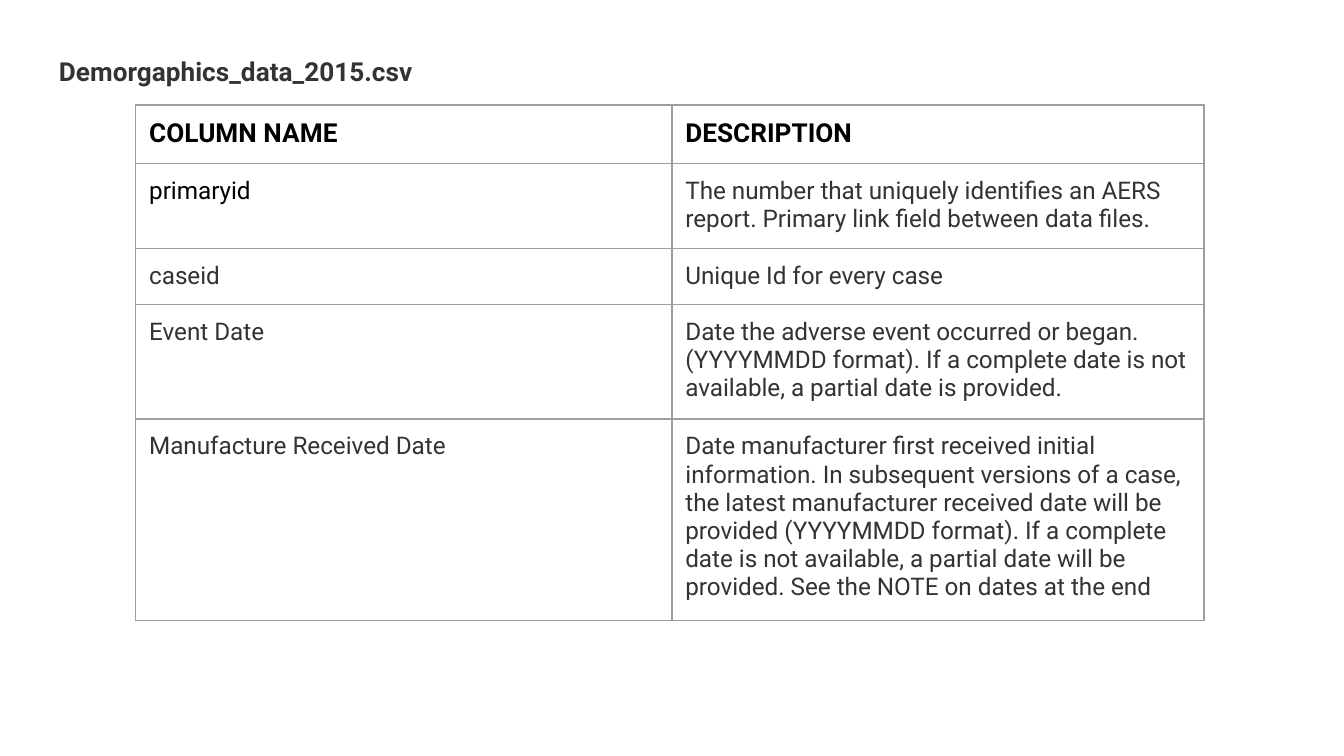
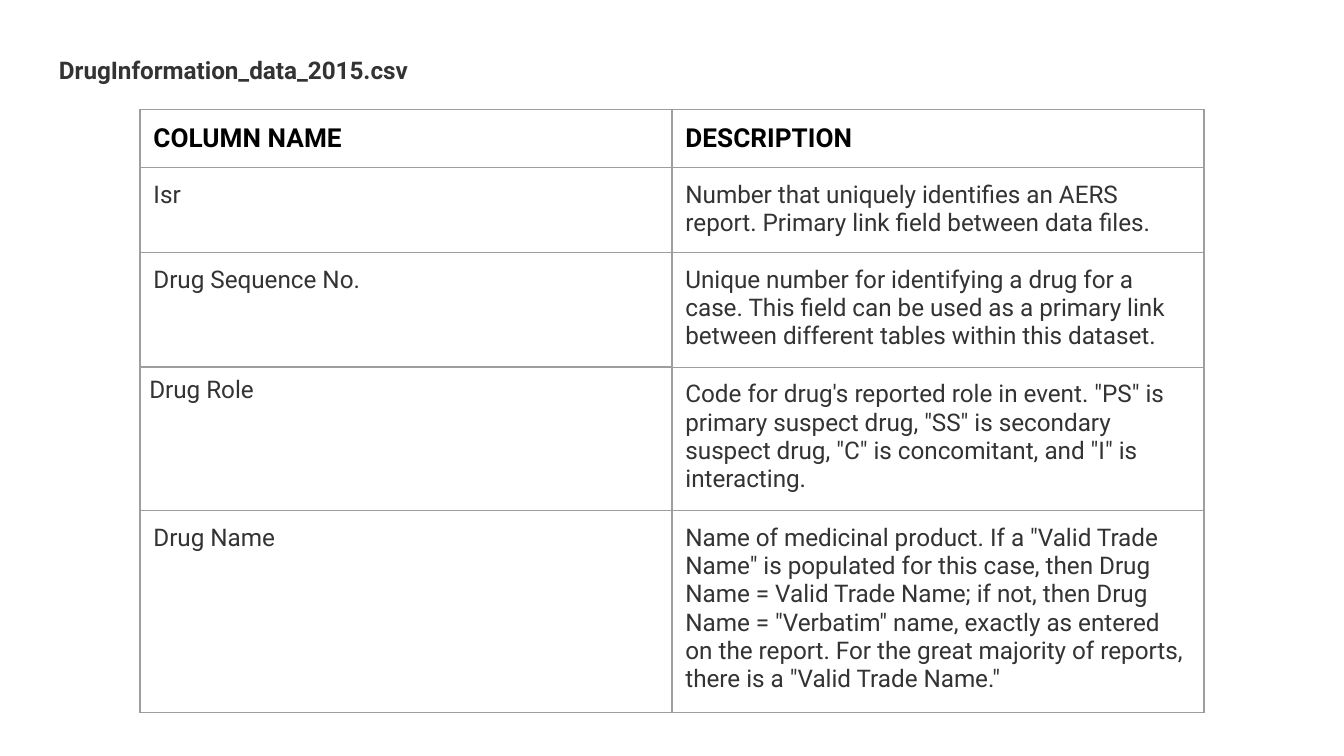
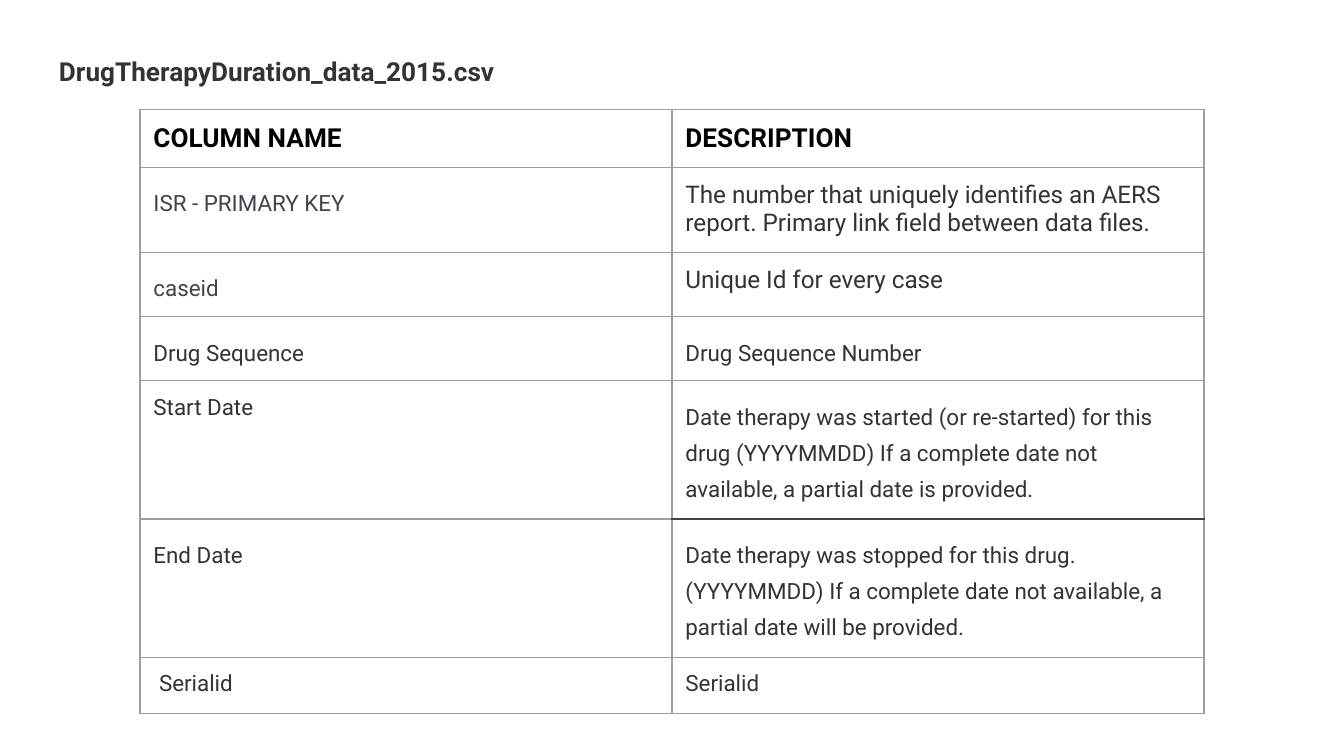
"""Build three slides that describe the columns of drug event data files."""
from lxml import etree
from pptx import Presentation
from pptx.dml.color import RGBColor
from pptx.enum.text import MSO_ANCHOR, PP_ALIGN
from pptx.oxml.ns import qn
from pptx.util import Pt

LEFT = PP_ALIGN.LEFT
TOP = MSO_ANCHOR.TOP
COLOURS = {"background": "FFFFFF", "black": "000000", "text": "333333",
           "key": "3F454E", "grid": "9E9E9E", "dark grid": "434343"}
FONT = "Roboto"
INSET = 7.2
STYLES = {
    "title": (14, "text", True, 1.15),
    "small title": (13, "text", True, 1.15),
    "header": (14, "black", True, 1),
    "first": (13, "black", False, 1),
    "body": (13, "text", False, 1),
    "key": (12, "key", False, 1.38),
    "spaced": (12, "text", False, 1.38),
    "small": (12, "text", False, 1),
}
SIDES = ("lnL", "lnR", "lnT", "lnB")
THIN = ("grid", 0.75)
THICK = ("grid", 1)
DARK = ("dark grid", 0.75)

DEMOGRAPHICS = [
    (26, "primaryid", "first",
     "The number that uniquely identifies an AERS report. Primary link field between data files.", "body"),
    (26, "caseid", "body", "Unique Id for every case", "body"),
    (54, "Event Date", "body",
     "Date the adverse event occurred or began. (YYYYMMDD format). If a complete date is not "
     "available, a partial date is provided.", "body"),
    (96, "Manufacture Received Date", "body",
     "Date manufacturer first received initial information. In subsequent versions of a case, "
     "the latest manufacturer received date will be provided (YYYYMMDD format). If a complete "
     "date is not available, a partial date will be provided. See the NOTE on dates at the end", "body"),
]
DRUG_INFORMATION = [
    (34.5, "Isr", "body",
     "Number that uniquely identifies an AERS report. Primary link field between data files.", "body"),
    (46, "Drug Sequence No.", "body",
     "Unique number for identifying a drug for a case. This field can be used as a primary link "
     "between different tables within this dataset.", "body"),
    (58.5, "Drug Role", "body",
     "Code for drug's reported role in event. \"PS\" is primary suspect drug, \"SS\" is secondary "
     "suspect drug, \"C\" is concomitant, and \"I\" is interacting.", "body"),
    (83, "Drug Name", "body",
     "Name of medicinal product. If a \"Valid Trade Name\" is populated for this case, then Drug "
     "Name = Valid Trade Name; if not, then Drug Name = \"Verbatim\" name, exactly as entered on "
     "the report. For the great majority of reports, there is a \"Valid Trade Name.\"", "body"),
]
THERAPY_DURATION = [
    (30, "ISR - PRIMARY KEY", "key",
     "The number that uniquely identifies an AERS report. Primary link field between data files.", "body"),
    (30, "caseid", "key", "Unique Id for every case", "body"),
    (30, "Drug Sequence", "spaced", "Drug Sequence Number", "spaced"),
    (30, "Start Date", "small",
     "Date therapy was started (or re-started) for this drug (YYYYMMDD) If a complete date not "
     "available, a partial date is provided.", "spaced"),
    (30, "End Date", "spaced",
     "Date therapy was stopped for this drug. (YYYYMMDD) If a complete date not available, a "
     "partial date will be provided.", "spaced"),
    (30, " Serialid", "small", "Serialid", "small"),
]


class Deck:
    """Hold the shared style and the current slide."""

    def __init__(self):
        self.presentation = Presentation()
        self.presentation.slide_width = Pt(720)
        self.presentation.slide_height = Pt(405)
        self.slide = None

    def add_slide(self):
        self.slide = self.presentation.slides.add_slide(self.presentation.slide_layouts[6])
        fill = self.slide.background.fill
        fill.solid()
        fill.fore_color.rgb = RGBColor.from_string(COLOURS["background"])

    def set_text(self, text_frame, text, style):
        size, colour, bold, spacing = STYLES[style]
        text_frame.word_wrap = True
        paragraph = text_frame.paragraphs[0]
        paragraph.text = text
        paragraph.alignment = LEFT
        paragraph.line_spacing = spacing
        font = paragraph.font
        font.name, font.size, font.bold = FONT, Pt(size), bold
        font.color.rgb = RGBColor.from_string(COLOURS[colour])

    def title(self, text, style):
        text_frame = self.slide.shapes.add_textbox(Pt(24.5), Pt(20), Pt(671), Pt(269)).text_frame
        text_frame.margin_left = text_frame.margin_right = Pt(INSET)
        text_frame.margin_top = text_frame.margin_bottom = Pt(INSET)
        text_frame.vertical_anchor = TOP
        self.set_text(text_frame, text, style)

    def border(self, cell, side, colour, width):
        line = etree.SubElement(cell._tc.get_or_add_tcPr(), qn("a:" + side), w=str(Pt(width)))
        fill = etree.SubElement(line, qn("a:solidFill"))
        etree.SubElement(fill, qn("a:srgbClr"), val=COLOURS[colour])

    def cell(self, cell, text, style, inset, borders):
        cell.margin_left = cell.margin_right = Pt(inset)
        cell.margin_top = cell.margin_bottom = Pt(inset)
        cell.vertical_anchor = TOP
        self.set_text(cell.text_frame, text, style)
        for side in SIDES:
            self.border(cell, side, *borders.get(side, THIN))
        cell.fill.background()

    def table(self, left, top, widths, header_height, rows, borders, insets):
        rows = [(header_height, "COLUMN NAME", "header", "DESCRIPTION", "header"), *rows]
        height = sum(row[0] for row in rows)
        table = self.slide.shapes.add_table(
            len(rows), 2, Pt(left), Pt(top), Pt(sum(widths)), Pt(height)).table
        table.first_row = table.horz_banding = False
        for column, width in zip(table.columns, widths):
            column.width = Pt(width)
        for index, (row_height, name, name_style, description, description_style) in enumerate(rows):
            table.rows[index].height = Pt(row_height)
            cells = ((name, name_style), (description, description_style))
            for column, (text, style) in enumerate(cells):
                place = (index, column)
                self.cell(table.cell(*place), text, style,
                          insets.get(place, INSET), borders.get(place, {}))


def main():
    deck = Deck()
    role_borders = {(2, 0): {"lnB": THICK}, (3, 0): dict.fromkeys(SIDES, THICK),
                    (3, 1): {"lnL": THICK}, (4, 0): {"lnT": THICK}}
    date_borders = {(4, 1): {"lnB": DARK}, (5, 1): {"lnT": DARK}}
    files = [
        ("Demorgaphics_data_2015.csv", "title",
         (72.75, 56.25, (287.25, 285), 26, DEMOGRAPHICS, {}, {})),
        ("DrugInformation_data_2015.csv", "small title",
         (75, 58.5, (285, 285), 22.5, DRUG_INFORMATION, role_borders, {(3, 0): 5})),
        ("DrugTherapyDuration_data_2015.csv", "title",
         (75, 58.5, (285, 285), 30, THERAPY_DURATION, date_borders, {})),
    ]
    for title, style, table in files:
        deck.add_slide()
        deck.title(title, style)
        deck.table(*table)
    deck.presentation.save("out.pptx")


if __name__ == "__main__":
    main()
